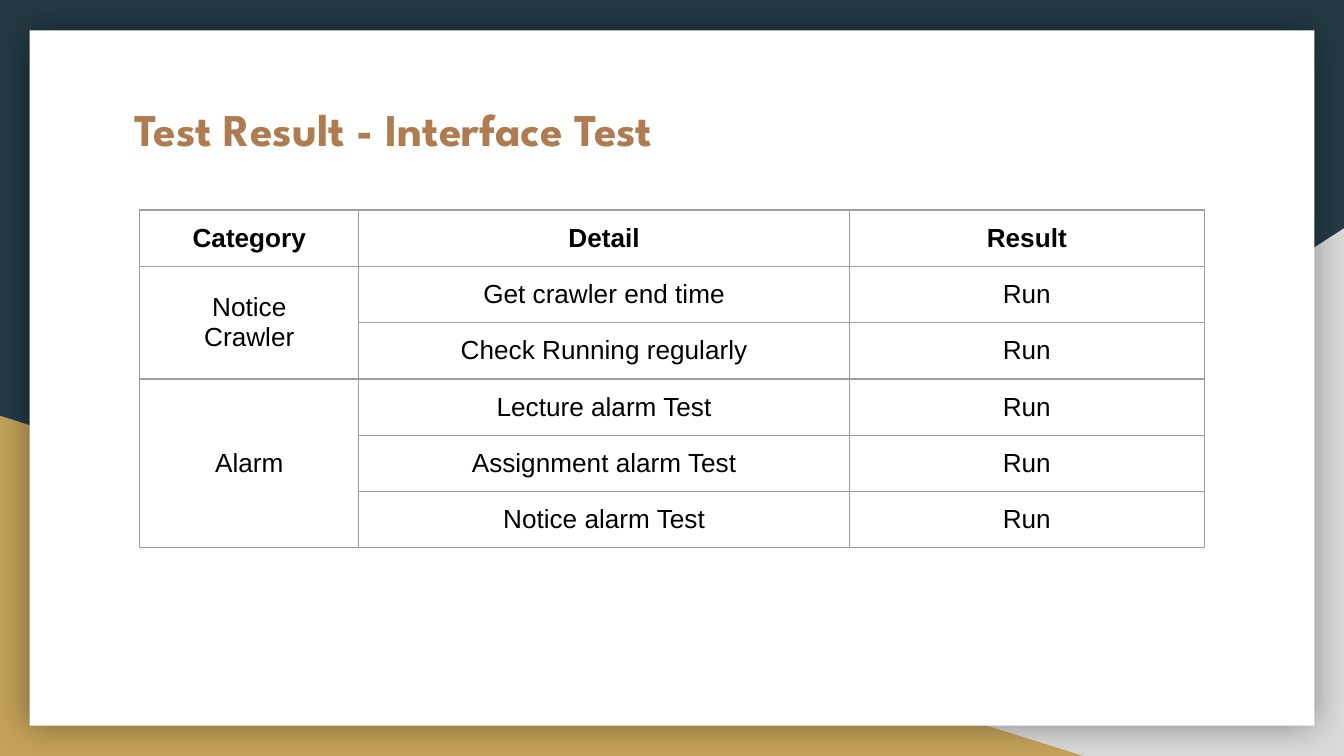
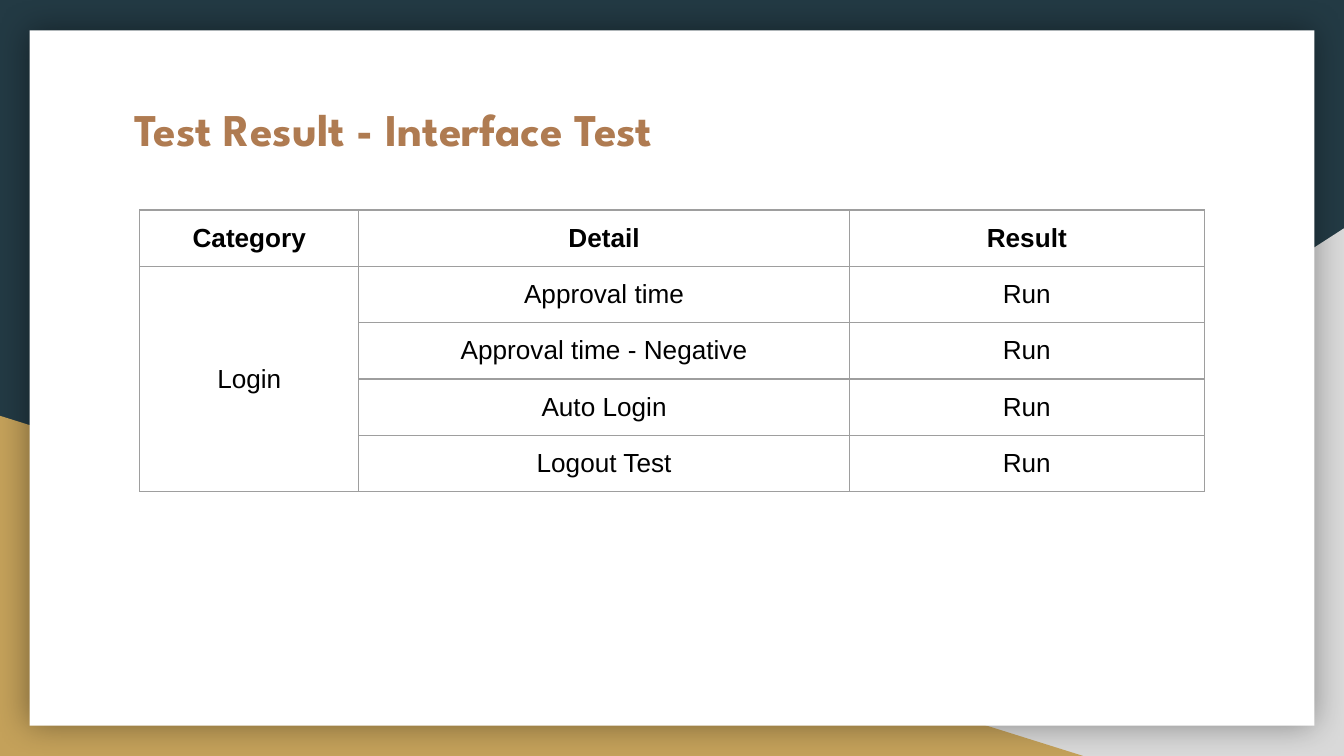
import dataclasses
import typing

import lxml.etree
import pptx
import pptx.dml.color
import pptx.enum.shapes
import pptx.enum.text
import pptx.oxml
import pptx.oxml.ns
import pptx.util

SLIDE_WIDTH = pptx.util.Inches(10)
SLIDE_HEIGHT = pptx.util.Inches(5.625)
COLORS = {
    "night": "233A44",
    "gray": "D9D9D9",
    "gold": "C4A15A",
    "sheet": "FFFFFF",
    "title": "AF7B51",
    "text": "000000",
    "border": "9E9E9E",
}
TITLE_FONT = "League Spartan"
TABLE_FONT = "Arial"
INSET = pptx.util.Inches(0.1)
HEADINGS = ("Category", "Detail", "Result")
COLUMN_SHARES = (16.3, 36.5, 26.4)
ROW_SHARE = 7.41
BORDER_WIDTH = pptx.util.Pt(0.75)
TRIANGLE = pptx.enum.shapes.MSO_SHAPE.RIGHT_TRIANGLE
RECTANGLE = pptx.enum.shapes.MSO_SHAPE.RECTANGLE


def across(share: float) -> int:
    """Turn a percentage of the slide's width into a length."""
    return round(SLIDE_WIDTH * share / 100)


def down(share: float) -> int:
    """Turn a percentage of the slide's height into a length."""
    return round(SLIDE_HEIGHT * share / 100)


@dataclasses.dataclass(frozen=True)
class Area:
    """A rectangle in percentages of the slide's width and height."""

    left: float
    top: float
    width: float
    height: float

    def lengths(self) -> tuple[int, int, int, int]:
        return across(self.left), down(self.top), across(self.width), down(self.height)


@dataclasses.dataclass(frozen=True)
class Panel:
    kind: typing.Any
    area: Area
    color: str
    flipped: bool = False
    shadowed: bool = False


@dataclasses.dataclass(frozen=True)
class TestGroup:
    category: str
    details: tuple[str, ...]
    result: str = "Run"


@dataclasses.dataclass(frozen=True)
class ResultPage:
    title: str
    groups: tuple[TestGroup, ...]


TITLE_AREA = Area(9, 11.6, 82.1, 11.2)
TABLE_AREA = Area(10.4, 27.78, sum(COLUMN_SHARES), ROW_SHARE)
PANELS = (
    Panel(TRIANGLE, Area(39.2, 30.2, 60.8, 69.8), "gray", flipped=True),
    Panel(TRIANGLE, Area(0, 55, 80.6, 45), "gold"),
    Panel(RECTANGLE, Area(2.2, 4, 95.6, 92), "sheet", shadowed=True),
)
PAGES = (
    ResultPage(
        "Test Result - Interface Test",
        (
            TestGroup("Notice\nCrawler", ("Get crawler end time", "Check Running regularly")),
            TestGroup(
                "Alarm",
                ("Lecture alarm Test", "Assignment alarm Test", "Notice alarm Test"),
            ),
        ),
    ),
    ResultPage(
        "Test Result - Interface Test",
        (
            TestGroup(
                "Login",
                ("Approval time", "Approval time - Negative", "Auto Login", "Logout Test"),
            ),
        ),
    ),
)


def rgb(name: str) -> pptx.dml.color.RGBColor:
    return pptx.dml.color.RGBColor.from_string(COLORS[name])


def write(frame, text: str, *, font: str, size: float, color: str,
          bold: bool = False, align=pptx.enum.text.PP_ALIGN.LEFT) -> None:
    """Fill a text frame, one paragraph for each line of the text."""
    frame.text = text
    frame.word_wrap = True
    for para in frame.paragraphs:
        para.alignment = align
        for span in para.runs:
            span.font.name = font
            span.font.size = pptx.util.Pt(size)
            span.font.bold = bold
            span.font.color.rgb = rgb(color)


def add_glow_shadow(shape) -> None:
    """Give a shape a soft shadow that spreads evenly on all sides."""
    effects = shape.element.spPr.find(pptx.oxml.ns.qn("a:effectLst"))
    blur = pptx.util.Pt(18)
    effects.append(pptx.oxml.parse_xml(
        f'<a:outerShdw {pptx.oxml.ns.nsdecls("a")} blurRad="{blur}" dist="0" dir="0" '
        'algn="ctr" rotWithShape="0">'
        '<a:srgbClr val="000000"><a:alpha val="40000"/></a:srgbClr></a:outerShdw>'
    ))


def add_panel(page, panel: Panel):
    shape = page.shapes.add_shape(panel.kind, *panel.area.lengths())
    shape.shadow.inherit = False
    shape.fill.solid()
    shape.fill.fore_color.rgb = rgb(panel.color)
    shape.line.fill.background()
    if panel.flipped:
        shape.element.spPr.xfrm.set("flipH", "1")
    if panel.shadowed:
        add_glow_shadow(shape)
    return shape


def dress_layout(layout, page) -> None:
    """Draw the backdrop on a page, then move it into the shared layout."""
    layout.background.fill.solid()
    layout.background.fill.fore_color.rgb = rgb("night")
    tree = layout.shapes.element
    for index, panel in enumerate(PANELS):
        element = add_panel(page, panel).element
        element.nvSpPr.cNvPr.set("id", str(100 + index))
        tree.insert(2 + index, element)


def format_title(page, text: str) -> None:
    title = page.shapes.title
    title.left, title.top, title.width, title.height = TITLE_AREA.lengths()
    frame = title.text_frame
    write(frame, text, font=TITLE_FONT, size=24.3, color="title", bold=True)
    frame.vertical_anchor = pptx.enum.text.MSO_ANCHOR.TOP
    frame.auto_size = pptx.enum.text.MSO_AUTO_SIZE.NONE
    frame.margin_left = frame.margin_right = INSET
    frame.margin_top = frame.margin_bottom = INSET


def add_borders(cell) -> None:
    properties = cell._tc.get_or_add_tcPr()
    for index, side in enumerate(("lnL", "lnR", "lnT", "lnB")):
        line = lxml.etree.Element(pptx.oxml.ns.qn(f"a:{side}"), w=str(BORDER_WIDTH))
        fill = lxml.etree.SubElement(line, pptx.oxml.ns.qn("a:solidFill"))
        lxml.etree.SubElement(fill, pptx.oxml.ns.qn("a:srgbClr"), val=COLORS["border"])
        properties.insert(index, line)


def format_cell(cell, text: str, heading: bool) -> None:
    anchors = pptx.enum.text.MSO_ANCHOR
    cell.margin_left = cell.margin_right = INSET
    cell.margin_top = cell.margin_bottom = INSET
    cell.vertical_anchor = anchors.TOP if heading else anchors.MIDDLE
    cell.fill.background()
    add_borders(cell)
    write(cell.text_frame, text, font=TABLE_FONT, size=14, color="text",
          bold=heading, align=pptx.enum.text.PP_ALIGN.CENTER)


def add_results(page, groups: tuple[TestGroup, ...]) -> None:
    rows = [HEADINGS]
    for group in groups:
        for index, detail in enumerate(group.details):
            rows.append((group.category if index == 0 else "", detail, group.result))

    left, top, width, height = TABLE_AREA.lengths()
    table = page.shapes.add_table(
        len(rows), len(HEADINGS), left, top, width, height * len(rows)
    ).table
    table.first_row = table.horz_banding = False
    for column, share in zip(table.columns, COLUMN_SHARES):
        column.width = across(share)
    for row_index, texts in enumerate(rows):
        table.rows[row_index].height = height
        for column_index, text in enumerate(texts):
            format_cell(table.cell(row_index, column_index), text, row_index == 0)

    first = 1
    for group in groups:
        last = first + len(group.details) - 1
        table.cell(first, 0).merge(table.cell(last, 0))
        first = last + 1


def main() -> None:
    deck = pptx.Presentation()
    deck.slide_width, deck.slide_height = SLIDE_WIDTH, SLIDE_HEIGHT
    layout = deck.slide_layouts.get_by_name("Title Only")
    pages = [deck.slides.add_slide(layout) for _ in PAGES]
    dress_layout(layout, pages[0])
    for page, content in zip(pages, PAGES):
        format_title(page, content.title)
        add_results(page, content.groups)
    deck.save("out.pptx")


if __name__ == "__main__":
    main()
